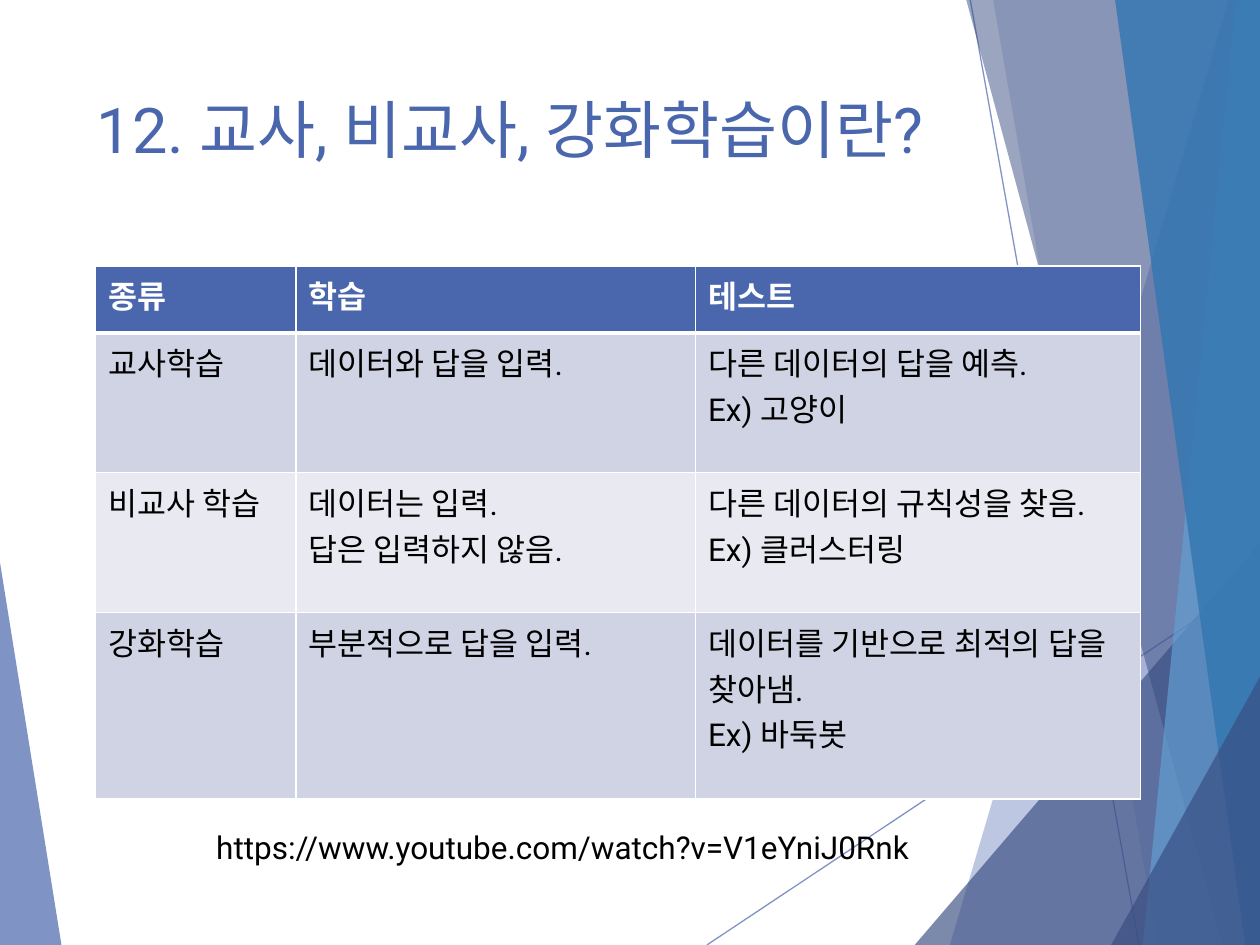
from lxml.etree import SubElement
from pptx import Presentation
from pptx.dml.color import RGBColor
from pptx.enum.shapes import MSO_CONNECTOR
from pptx.enum.text import MSO_ANCHOR, PP_ALIGN
from pptx.oxml.ns import qn
from pptx.util import Cm, Pt

FONT = "Roboto"
WHITE = RGBColor(0xFF, 0xFF, 0xFF)
BLACK = RGBColor(0, 0, 0)
BLUE = RGBColor(0x4A, 0x66, 0xAC)
NAVY = RGBColor(0x38, 0x4C, 0x81)
SKY = RGBColor(0x62, 0x9D, 0xD1)
OCEAN = RGBColor(0x34, 0x77, 0xB2)
BANDS = (RGBColor(0xD0, 0xD3, 0xE3), RGBColor(0xE9, 0xEA, 0xF1))

TITLE = "12. 교사, 비교사, 강화학습이란?"
LINK = "https://www.youtube.com/watch?v=V1eYniJ0Rnk"
ROWS = [
    ("종류", "학습", "테스트"),
    ("교사학습", "데이터와 답을 입력.", "다른 데이터의 답을 예측.\nEx) 고양이"),
    ("비교사 학습", "데이터는 입력.\n답은 입력하지 않음.",
     "다른 데이터의 규칙성을 찾음.\nEx) 클러스터링"),
    ("강화학습", "부분적으로 답을 입력.",
     "데이터를 기반으로 최적의 답을 찾아냄.\nEx) 바둑봇"),
]
COLUMN_WIDTHS = (4.04, 8.05, 8.97)
ROW_HEIGHTS = (1.35, 2.82, 2.82, 3.76)

RIGHT, BOTTOM = 25.43, 19.05
RAYS = [(14.25, BOTTOM, RIGHT, 11.61), (19.56, 0, 22.96, BOTTOM)]
FACETS = [
    (BLUE, 70, [(-0.03, 11.15), (1.24, BOTTOM), (-0.03, BOTTOM)]),
    (BLUE, 36, [(24.77, 0), (19.15, BOTTOM), (RIGHT, BOTTOM), (RIGHT, 0)]),
    (BLUE, 20, [(20.02, 0), (23.34, BOTTOM), (RIGHT, BOTTOM), (RIGHT, 0)]),
    (NAVY, 66, [(18.44, BOTTOM), (RIGHT, 10.9), (RIGHT, BOTTOM)]),
    (NAVY, 50, [(19.48, 0), (24.64, BOTTOM), (RIGHT, BOTTOM), (RIGHT, 0)]),
    (SKY, 70, [(24.92, 0), (23.04, BOTTOM), (RIGHT, BOTTOM), (RIGHT, 0)]),
    (OCEAN, 82, [(22.48, 0), (25.1, BOTTOM), (RIGHT, BOTTOM), (RIGHT, 0)]),
    (NAVY, 66, [(22.4, BOTTOM), (RIGHT, 13.59), (RIGHT, BOTTOM)]),
]


def set_opacity(shape, percent):
    for color in shape._element.spPr.iter(qn("a:srgbClr")):
        SubElement(color, qn("a:alpha"), val=str(percent * 1000))


def add_ray(slide, ends):
    ray = slide.shapes.add_connector(MSO_CONNECTOR.STRAIGHT, *map(Cm, ends))
    ray.line.color.rgb = BLUE
    ray.line.width = Pt(0.75)
    set_opacity(ray, 70)
    SubElement(ray._element.spPr, qn("a:effectLst"))


def add_facet(slide, color, opacity, points):
    first, *rest = [(x * 100, y * 100) for x, y in points]
    builder = slide.shapes.build_freeform(*first, scale=Cm(0.01))
    builder.add_line_segments(rest, close=True)
    facet = builder.convert_to_shape()
    facet.shadow.inherit = False
    facet.fill.solid()
    facet.fill.fore_color.rgb = color
    facet.line.fill.background()
    set_opacity(facet, opacity)


def format_text(text_frame, size, color, bold=False):
    for paragraph in text_frame.paragraphs:
        paragraph.alignment = PP_ALIGN.LEFT
        for run in paragraph.runs:
            run.font.name = FONT
            run.font.size = Pt(size)
            run.font.bold = bold
            run.font.color.rgb = color


def set_borders(cell, top, bottom):
    properties = cell._tc.get_or_add_tcPr()
    for side, points in (("L", 1), ("R", 1), ("T", top), ("B", bottom)):
        line = SubElement(properties, qn(f"a:ln{side}"), w=str(Pt(points)))
        fill = SubElement(line, qn("a:solidFill"))
        SubElement(fill, qn("a:srgbClr"), val=str(WHITE))


def add_learning_table(slide):
    table = slide.shapes.add_table(
        len(ROWS), len(COLUMN_WIDTHS), Cm(1.93), Cm(5.36),
        Cm(sum(COLUMN_WIDTHS)), Cm(sum(ROW_HEIGHTS))).table
    for column, width in zip(table.columns, COLUMN_WIDTHS):
        column.width = Cm(width)
    for index, (row, height, texts) in enumerate(zip(table.rows, ROW_HEIGHTS, ROWS)):
        row.height = Cm(height)
        header = index == 0
        for cell, text in zip(row.cells, texts):
            cell.text_frame.text = text
            format_text(cell.text_frame, 18, WHITE if header else BLACK, header)
            set_borders(cell, 3 if index == 1 else 1, 3 if header else 1)
            cell.fill.solid()
            cell.fill.fore_color.rgb = BLUE if header else BANDS[(index - 1) % 2]


def add_title(slide):
    title = slide.shapes.title
    title.left, title.top, title.width, title.height = map(Cm, (1.7, 1.7, 19.4, 3.66))
    title.text_frame.text = TITLE
    title.text_frame.vertical_anchor = MSO_ANCHOR.TOP
    format_text(title.text_frame, 36, BLUE)
    slide.shapes._spTree.append(title._element)


def add_link(slide):
    box = slide.shapes.add_textbox(Cm(4.11), Cm(16.56), Cm(15.21), Cm(1.02))
    box.text_frame.word_wrap = True
    box.text_frame.text = LINK
    format_text(box.text_frame, 18, BLACK)


def main():
    """Build the slide comparing three kinds of machine learning."""
    presentation = Presentation()
    presentation.slide_width, presentation.slide_height = Cm(25.4), Cm(19.05)
    slide = presentation.slides.add_slide(presentation.slide_layouts[5])
    for ends in RAYS:
        add_ray(slide, ends)
    for facet in FACETS:
        add_facet(slide, *facet)
    add_title(slide)
    add_learning_table(slide)
    add_link(slide)
    presentation.save("out.pptx")


if __name__ == "__main__":
    main()
